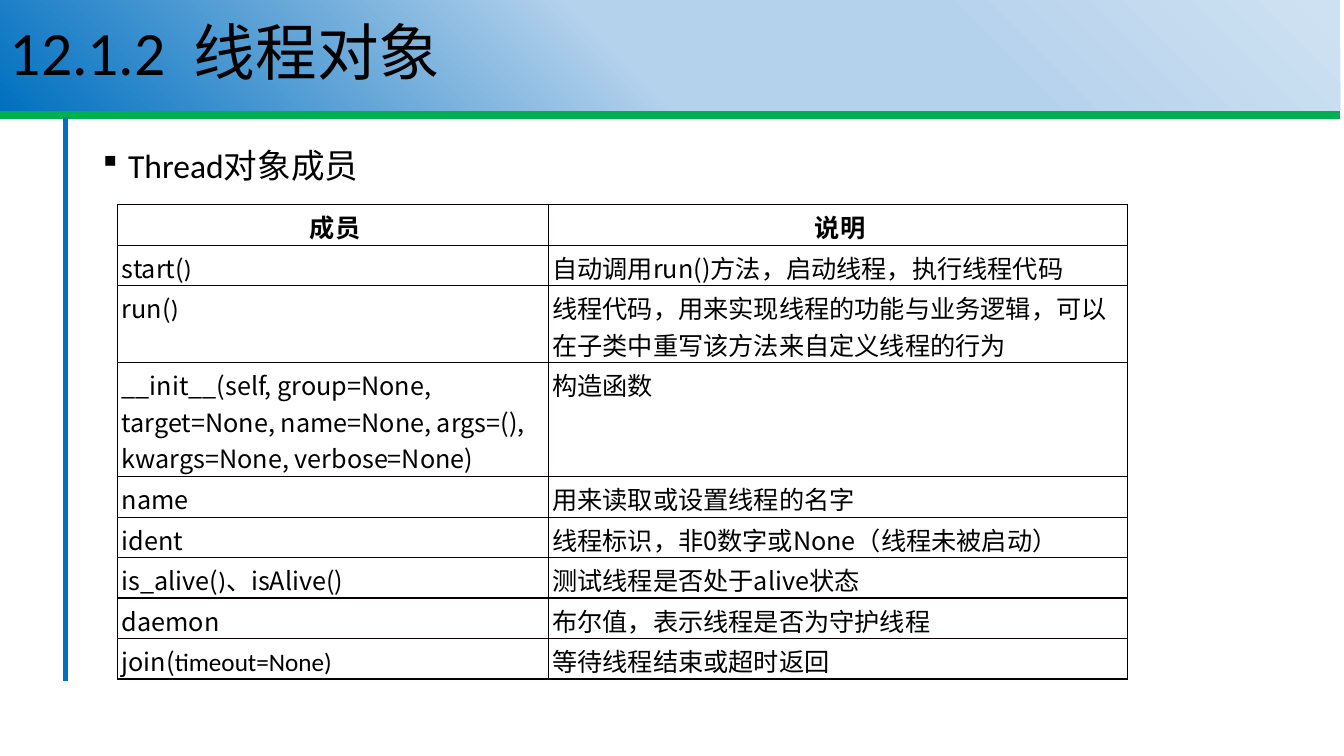
"""Build the slide that lists the members of a Thread object."""
from copy import deepcopy
from dataclasses import dataclass
from itertools import cycle

from lxml import etree
from pptx import Presentation
from pptx import util as u
from pptx.dml.color import RGBColor
from pptx.enum import shapes, text
from pptx.oxml import ns

COLOURS = {
    "ink": "000000",
    "grid": "080000",
    "green": "00B050",
    "blue": "0070C0",
    "pale": "CEE1F2",
    "sky": "B5D2EC",
}
HEADING_FONT = "Calibri"
TABLE_FONT = "Noto Sans CJK SC"


@dataclass
class Rule:
    start: tuple[float, float]
    end: tuple[float, float]
    colour: str
    width: float


@dataclass
class Member:
    name: tuple[str, ...]
    note: str
    height: float = 1.02
    header: bool = False


RULES = [
    Rule((0, 2.9), (33.78, 2.9), "green", 5.25),
    Rule((1.65, 2.95), (1.65, 17.17), "blue", 3.75),
]
TITLE_STOPS = [(0.01, "pale"), (0.29, "sky"), (0.53, "sky"), (1.0, "blue")]
COLUMN_WIDTHS = (10.85, 14.6)
MEMBERS = [
    Member(("成员",), "说明", header=True),
    Member(("start(", ")"), "自动调用run()方法，启动线程，执行线程代码"),
    Member(("run(", ")"), "线程代码，用来实现线程的功能与业务逻辑，可以在子类中重写该方法来自定义线程的行为", 1.94),
    Member(("__init__(self, group=None, target=None, name=None, args=(), "
            "kwargs=None, verbose=None)",), "构造函数", 2.87),
    Member(("name",), "用来读取或设置线程的名字"),
    Member(("ident",), "线程标识，非0数字或None（线程未被启动）"),
    Member(("is_alive(", ")", "、isAlive()"), "测试线程是否处于alive状态"),
    Member(("daemon",), "布尔值，表示线程是否为守护线程"),
    Member(("join(", "timeout=None)"), "等待线程结束或超时返回"),
]


def rgb(colour: str) -> RGBColor:
    return RGBColor.from_string(COLOURS[colour])


def add_xml(parent, tag: str, **attributes: str):
    return etree.SubElement(parent, ns.qn(tag), attributes)


def write(paragraph, wording: str, *, size: float, font: str = TABLE_FONT,
          bold: bool = False, align=text.PP_ALIGN.LEFT, spacing: float = 1.0) -> None:
    paragraph.alignment = align
    paragraph.line_spacing = spacing
    run = paragraph.add_run()
    run.text = wording
    run.font.size = u.Pt(size)
    run.font.name = font
    run.font.bold = bold
    run.font.color.rgb = rgb("ink")
    add_xml(run.font._element, "a:ea", typeface=TABLE_FONT)


def draw_rule(slide, rule: Rule) -> None:
    ends = [u.Cm(value) for value in (*rule.start, *rule.end)]
    line = slide.shapes.add_connector(shapes.MSO_CONNECTOR.STRAIGHT, *ends)
    line.line.color.rgb = rgb(rule.colour)
    line.line.width = u.Pt(rule.width)
    add_xml(line._element.spPr, "a:effectLst")


def draw_title(slide) -> None:
    banner = slide.shapes.add_shape(
        shapes.MSO_SHAPE.RECTANGLE, 0, 0, u.Cm(33.78), u.Cm(2.79))
    banner.shadow.inherit = False
    banner.line.fill.background()
    banner.fill.gradient()
    banner.fill.gradient_angle = 225
    stop_list = banner._element.spPr.find(".//" + ns.qn("a:gsLst"))
    for _ in TITLE_STOPS[2:]:
        stop_list.append(deepcopy(stop_list[0]))
    for stop, (position, colour) in zip(banner.fill.gradient_stops, TITLE_STOPS):
        stop.position = position
        stop.color.rgb = rgb(colour)
    banner.text_frame.word_wrap = True
    banner.text_frame.vertical_anchor = text.MSO_ANCHOR.MIDDLE
    write(banner.text_frame.paragraphs[0], "12.1.2  线程对象",
          size=44, font=HEADING_FONT, spacing=0.9)


def draw_topic(slide) -> None:
    topic = slide.shapes.add_textbox(u.Cm(2.34), u.Cm(3.64), u.Cm(29.2), u.Cm(12.88))
    topic.text_frame.word_wrap = True
    paragraph = topic.text_frame.paragraphs[0]
    write(paragraph, "Thread对象成员", size=24, font=HEADING_FONT, spacing=0.9)
    paragraph.space_before = u.Pt(10)
    properties = paragraph._element.get_or_add_pPr()
    indent = u.Cm(0.64)
    properties.set("marL", str(indent))
    properties.set("indent", str(-indent))
    add_xml(properties, "a:buFont", typeface="Wingdings", charset="2")
    add_xml(properties, "a:buChar", char="§")


def draw_border(cell, side: str, colour: str, width: float) -> None:
    border = add_xml(cell._tc.get_or_add_tcPr(), f"a:ln{side}", w=str(u.Pt(width)))
    fill = add_xml(border, "a:solidFill")
    add_xml(fill, "a:srgbClr", val=COLOURS[colour])


def fill_cell(cell, parts: tuple[str, ...], header: bool, last: bool) -> None:
    cell.margin_left = cell.margin_top = u.Cm(0.1)
    cell.margin_right = cell.margin_bottom = 0
    for side in "LRTB":
        outer = last and side == "R"
        draw_border(cell, side, "ink" if outer else "grid", 0.75 if outer else 1)
    cell.fill.background()
    align = text.PP_ALIGN.CENTER if header else text.PP_ALIGN.LEFT
    for wording, font in zip(parts, cycle((TABLE_FONT, HEADING_FONT))):
        write(cell.text_frame.paragraphs[0], wording, size=18, font=font,
              bold=header, align=align)


def draw_members(slide) -> None:
    frame = slide.shapes.add_table(
        len(MEMBERS), len(COLUMN_WIDTHS), u.Cm(2.97), u.Cm(5.16),
        u.Cm(sum(COLUMN_WIDTHS)), u.Cm(sum(member.height for member in MEMBERS)))
    table = frame.table
    table.first_row = table.horz_banding = False
    for column, width in zip(table.columns, COLUMN_WIDTHS):
        column.width = u.Cm(width)
    for row, member in zip(table.rows, MEMBERS):
        row.height = u.Cm(member.height)
        name_cell, note_cell = row.cells
        fill_cell(name_cell, member.name, member.header, last=False)
        fill_cell(note_cell, (member.note,), member.header, last=True)


def main() -> None:
    deck = Presentation()
    deck.slide_width, deck.slide_height = u.Cm(33.87), u.Cm(19.05)
    slide = deck.slides.add_slide(deck.slide_layouts[6])
    for rule in RULES:
        draw_rule(slide, rule)
    draw_topic(slide)
    draw_members(slide)
    draw_title(slide)
    deck.save("out.pptx")


if __name__ == "__main__":
    main()
